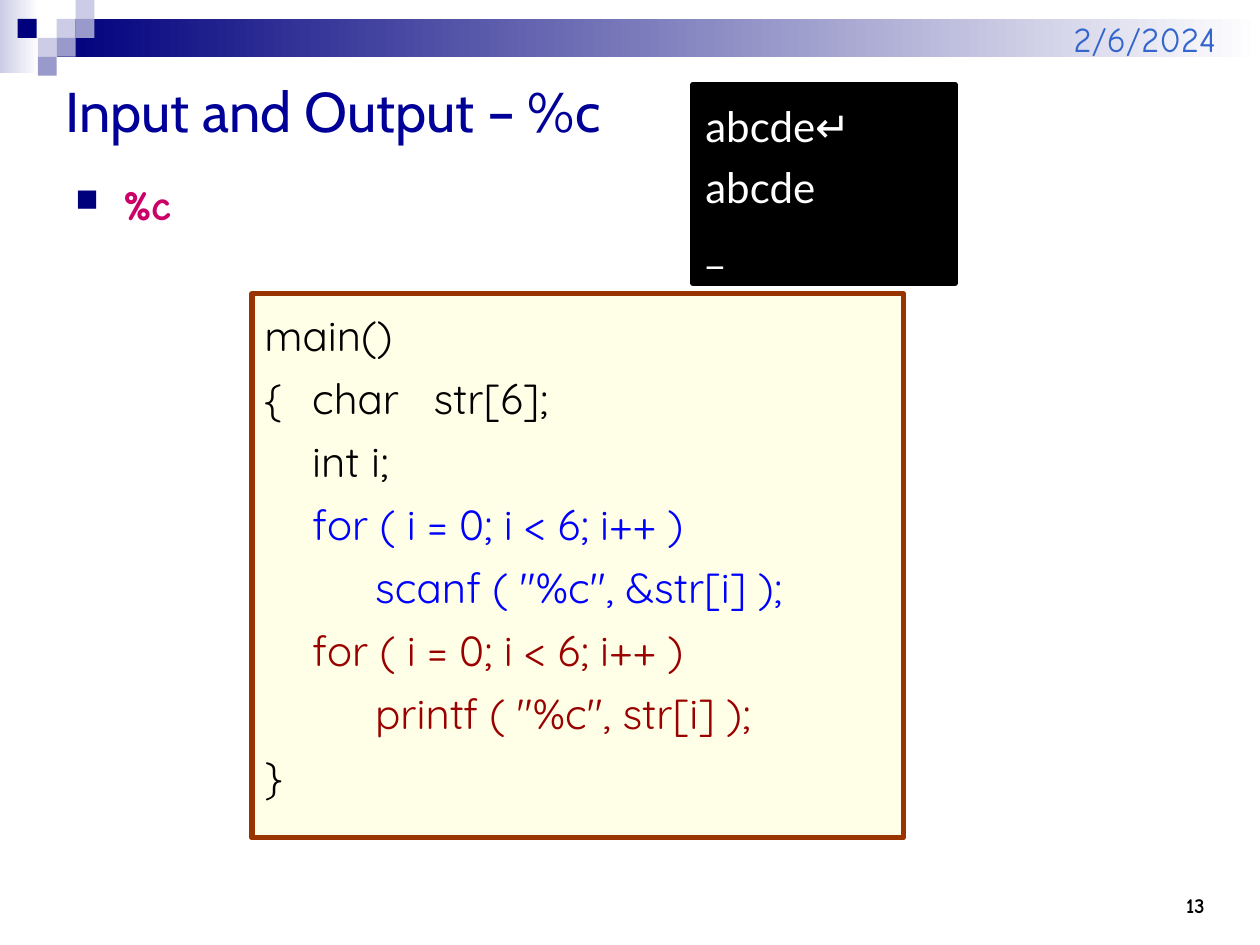
from pptx import Presentation
from pptx.dml.color import RGBColor
from pptx.enum.shapes import MSO_SHAPE as Shape
from pptx.enum.text import MSO_ANCHOR as Anchor, PP_ALIGN as Align
from pptx.oxml.ns import qn
from pptx.util import Inches, Pt
from lxml.etree import SubElement

NAVY, LILAC, VIOLET, WHITE = "00007D", "CCCCE6", "9999CC", "FFFFFF"
BLACK, BLUE, RED = "000000", "0000FF", "990000"

# Header: gradient bands (box, start colour) and mosaic tiles (left, row, colour)
BANDS = [((0, 0, 0.31, 0.58), LILAC), ((0.45, 0.15, 9.55, 0.3), NAVY)]
TILE = 0.15
TILES = [
    (0.45, 1, LILAC), (0.6, 0, LILAC), (0.6, 1, VIOLET), (0.3, 2, LILAC),
    (0.14, 1, NAVY), (0.45, 2, VIOLET), (0.3, 3, VIOLET),
]

# Code and console lines as (text, colour)
CODE = [
    ("main()", BLACK),
    ("{\tchar   str[6];", BLACK),
    ("\tint i;", BLACK),
    ("\tfor ( i = 0; i < 6; i++ )", BLUE),
    ("\t\tscanf ( \"%c\", &str[i] );", BLUE),
    ("\tfor ( i = 0; i < 6; i++ )", RED),
    ("\t\tprintf ( \"%c\", str[i] );", RED),
    ("}", BLACK),
]
CONSOLE = [(line, WHITE) for line in ("abcde↵", "abcde", "_")]


def rgb(color):
    return RGBColor.from_string(color)


def add_rectangle(slide, box, fill, fade_to=None, line=None):
    shape = slide.shapes.add_shape(Shape.RECTANGLE, *map(Inches, box))
    shape.shadow.inherit = False
    if fade_to:
        shape.fill.gradient()
        shape.fill.gradient_angle = 0
        for stop, color, position in zip(shape.fill.gradient_stops, (fill, fade_to), (0, 1)):
            stop.color.rgb = rgb(color)
            stop.position = position
    else:
        shape.fill.solid()
        shape.fill.fore_color.rgb = rgb(fill)
    if line:
        shape.line.color.rgb = rgb(line)
        shape.line.width = Pt(3)
    else:
        shape.line.fill.background()
    return shape


def add_textbox(slide, box):
    return slide.shapes.add_textbox(*map(Inches, box))


def write(shape, lines, font, size, bold=False, align=Align.LEFT, anchor=Anchor.TOP,
          spacing=1.0, before=0, hanging=0, bullet=None):
    """Fill a shape with one paragraph per (text, colour) line."""
    frame = shape.text_frame
    frame.word_wrap = True
    frame.vertical_anchor = anchor
    for index, (text, color) in enumerate(lines):
        paragraph = frame.add_paragraph() if index else frame.paragraphs[0]
        paragraph.alignment = align
        paragraph.line_spacing = spacing
        paragraph.space_before = Pt(before)
        run = paragraph.add_run()
        run.text = text
        run.font.name, run.font.size, run.font.bold = font, Pt(size), bold
        run.font.color.rgb = rgb(color)
        properties = paragraph._p.get_or_add_pPr()
        if hanging:
            properties.set("marL", str(Inches(hanging)))
            properties.set("indent", str(-Inches(hanging)))
        if bullet:
            bullet_color = SubElement(properties, qn("a:buClr"))
            SubElement(bullet_color, qn("a:srgbClr"), val=NAVY)
            SubElement(properties, qn("a:buSzPct"), val="75000")
            SubElement(properties, qn("a:buChar"), char=bullet)


def main():
    presentation = Presentation()
    presentation.slide_width, presentation.slide_height = Inches(10), Inches(7.5)
    slide = presentation.slides.add_slide(presentation.slide_layouts[6])

    # Header decoration
    for box, color in BANDS:
        add_rectangle(slide, box, color, fade_to=WHITE)
    for left, row, color in TILES:
        add_rectangle(slide, (left, row * TILE, TILE, TILE), color)

    # Slide number and date
    write(add_textbox(slide, (8.83, 6.83, 0.83, 0.5)), [("13", BLACK)], "Comic Neue", 12,
          bold=True, align=Align.RIGHT, anchor=Anchor.BOTTOM)
    write(add_textbox(slide, (7.42, 0, 2.33, 0.52)), [("2/6/2024", "3366CC")], "Comic Neue", 20,
          align=Align.RIGHT, anchor=Anchor.BOTTOM)

    # Title and bullet
    write(add_textbox(slide, (0.42, 0.5, 9, 0.75)), [("Input and Output – %c", "000099")],
          "Cabin", 32, anchor=Anchor.MIDDLE)
    write(add_textbox(slide, (0.5, 1.17, 9, 5.83)), [("%c", "CC0066")], "Comic Neue", 24,
          bold=True, spacing=1.5, before=2.4, hanging=0.38, bullet="■")

    # Program and its console output
    program = add_rectangle(slide, (2, 2.33, 5.17, 4.32), "FFFFE7", line="993300")
    write(program, CODE, "Quicksand", 24, spacing=1.2, before=1.4, hanging=0.38)
    console = add_rectangle(slide, (5.5, 0.67, 2.08, 1.58), BLACK, line=BLACK)
    write(console, CONSOLE, "Lato", 24, spacing=1.2)

    presentation.save("out.pptx")


if __name__ == "__main__":
    main()
